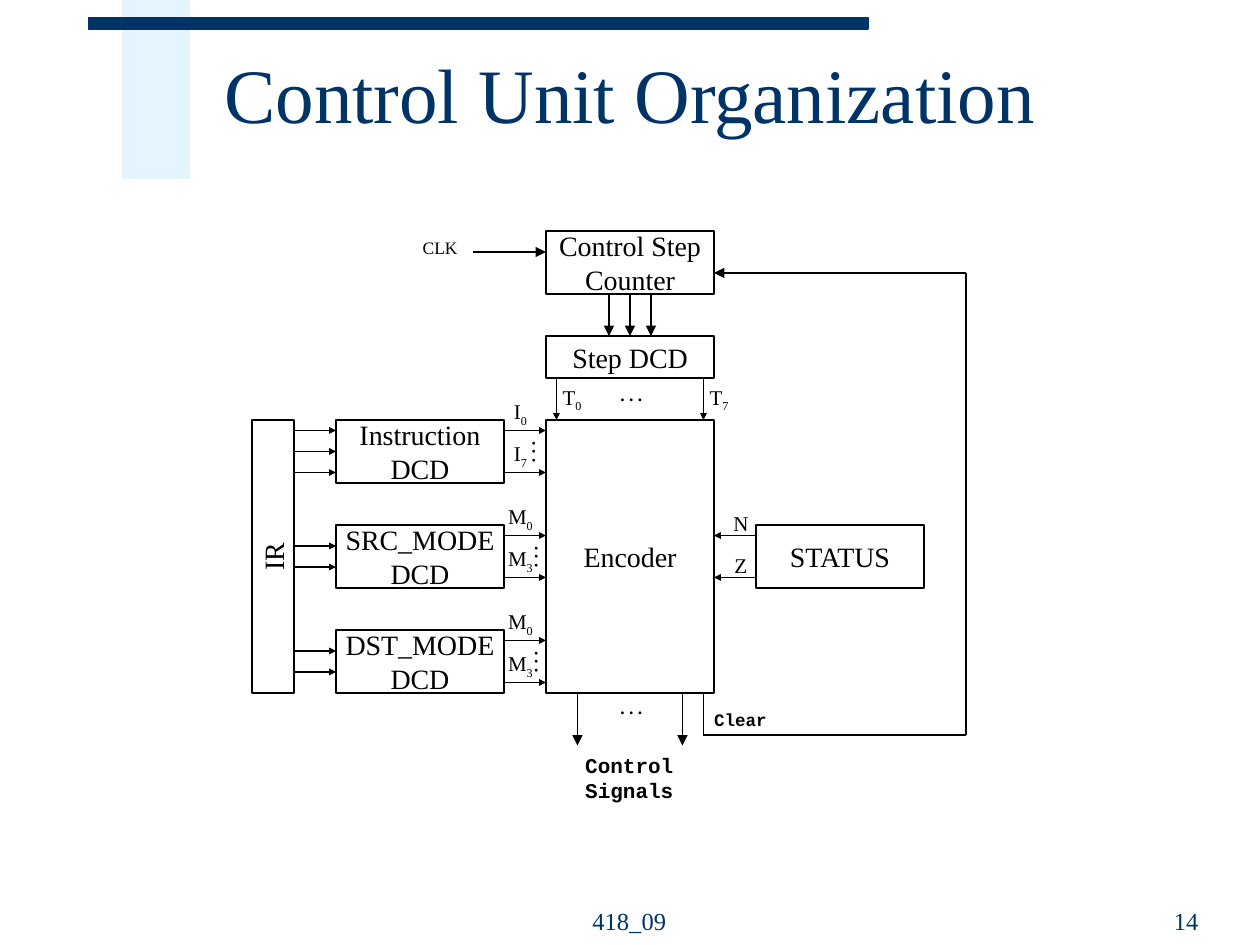
from lxml import etree
from pptx import Presentation
from pptx.dml.color import RGBColor
from pptx.enum.shapes import MSO_CONNECTOR, MSO_SHAPE
from pptx.enum.text import MSO_ANCHOR, PP_ALIGN
from pptx.oxml.ns import qn
from pptx.util import Inches, Pt

LEFT, CENTER, RIGHT = PP_ALIGN.LEFT, PP_ALIGN.CENTER, PP_ALIGN.RIGHT
TOP, MIDDLE, BOTTOM = MSO_ANCHOR.TOP, MSO_ANCHOR.MIDDLE, MSO_ANCHOR.BOTTOM
RECTANGLE, STRAIGHT = MSO_SHAPE.RECTANGLE, MSO_CONNECTOR.STRAIGHT

COLORS = {"navy": "003366", "band": "CCECFF", "ink": "000000", "paper": "FFFFFF"}
SERIF, MONO = "Times New Roman", "Courier New"
GRID = 1 / 12  # the diagram sits on a grid of twelve steps to the inch

# Diagram blocks: text, left, top, width, height, rotation (grid steps, degrees)
BLOCKS = [
    ("Control Step\nCounter", 52, 22, 16, 6, 0),
    ("Step DCD", 52, 32, 16, 4, 0),
    ("Encoder", 52, 40, 16, 26, 0),
    ("STATUS", 72, 50, 16, 6, 0),
    ("Instruction\nDCD", 32, 40, 16, 6, 0),
    ("SRC_MODE\nDCD", 32, 50, 16, 6, 0),
    ("DST_MODE\nDCD", 32, 60, 16, 6, 0),
    ("IR", 13, 51, 26, 4, 270),
]
# Decoders: top, offsets of the input arrows, name and last index of the outputs
DECODERS = [
    (40, (1, 3, 5), "I", "7"),
    (50, (2, 4), "M", "3"),
    (60, (2, 4), "M", "3"),
]
OUTPUT_OFFSETS = (1, 5)
STEP_OUTPUTS = [(53, "0"), (67, "7")]
FLAGS = [(51, "N"), (55, "Z")]
CLEAR_ROUTE = [(67, 66), (67, 70), (92, 70), (92, 26), (68, 26)]


def color(name):
    return RGBColor.from_string(COLORS[name])


def write(shape, text, size=12, font=SERIF, ink="ink", bold=False, align=CENTER,
          anchor=TOP, inset=(0.1, 0.05), subscript="", spacing=None):
    """Fill a shape with one paragraph per line; the subscript follows the last."""
    frame = shape.text_frame
    frame.word_wrap = True
    frame.vertical_anchor = anchor
    frame.margin_left = frame.margin_right = Inches(inset[0])
    frame.margin_top = frame.margin_bottom = Inches(inset[1])
    for index, line in enumerate(text.split("\n")):
        para = frame.add_paragraph() if index else frame.paragraphs[0]
        para.alignment = align
        if spacing:
            para.line_spacing = spacing
        para.add_run().text = line
    if subscript:
        span = para.add_run()
        span.text = subscript
        span._r.get_or_add_rPr().set("baseline", "-25000")
    for para in frame.paragraphs:
        for span in para.runs:
            span.font.size = Pt(size)
            span.font.name = font
            span.font.bold = bold
            span.font.color.rgb = color(ink)


def add_label(page, text, left, top, width, height, rotation=0, **style):
    box = page.shapes.add_textbox(*map(Inches, (left, top, width, height)))
    box.rotation = rotation
    write(box, text, **style)


def add_dots(page, x, y, rotation=0):
    """Place an ellipsis centred on a point given in inches."""
    add_label(page, ". . .", x - 0.24, y - 0.13, 0.48, 0.27, rotation, size=10, bold=True)


def add_rectangle(page, left, top, width, height, fill, line=None):
    shape = page.shapes.add_shape(RECTANGLE, *map(Inches, (left, top, width, height)))
    shape.shadow.inherit = False
    shape.fill.solid()
    shape.fill.fore_color.rgb = color(fill)
    if line:
        shape.line.color.rgb = color(line)
        shape.line.width = Pt(0.75)
    else:
        shape.line.fill.background()
    return shape


def add_line(page, start, end, head="med"):
    """Join two grid points; head is the arrowhead size, or None for a plain line."""
    ends = [Inches(step * GRID) for step in (*start, *end)]
    line = page.shapes.add_connector(STRAIGHT, *ends)
    line.line.color.rgb = color("ink")
    line.line.width = Pt(0.75)
    if head:
        etree.SubElement(line.line._get_or_add_ln(), qn("a:tailEnd"),
                         type="triangle", w=head, len=head)
    etree.SubElement(line._element.spPr, qn("a:effectLst"))
    return line


def add_frame(page):
    band = add_rectangle(page, 0.97, 0, 0.54, 1.42, "band")
    tint = band.fill._xPr.find(qn("a:solidFill"))[0]
    etree.SubElement(tint, qn("a:alpha"), val="50000")
    add_rectangle(page, 0.7, 0.14, 6.19, 0.09, "navy", "navy")
    title = page.shapes.title
    title.left, title.top, title.width, title.height = map(Inches, (1.68, 0.17, 8.07, 1.25))
    write(title, "Control Unit Organization", size=44, ink="navy", align=LEFT,
          anchor=MIDDLE, spacing=0.85)
    footer = {"size": 14, "ink": "navy", "anchor": BOTTOM}
    add_label(page, "418_09", 4.08, 6.97, 1.83, 0.5, **footer)
    add_label(page, "14", 7.21, 6.97, 2.4, 0.5, align=RIGHT, **footer)


def add_blocks(page):
    blocks = {}
    for text, left, top, width, height, rotation in BLOCKS:
        place = [step * GRID for step in (left, top, width, height)]
        block = add_rectangle(page, *place, "paper", "ink")
        block.rotation = rotation
        write(block, text, size=16, anchor=MIDDLE, inset=(0, 0))
        blocks[text] = block
    return blocks


def add_step_path(page, blocks):
    add_label(page, "CLK", 3.08, 1.83, 0.65, 0.27, size=10, align=RIGHT)
    add_line(page, (45, 24), (52, 24))
    for x in (58, 62):
        add_line(page, (x, 28), (x, 32))
    middle = add_line(page, (60, 28), (60, 32))
    middle.begin_connect(blocks["Control Step\nCounter"], 2)
    middle.end_connect(blocks["Step DCD"], 0)
    for x, index in STEP_OUTPUTS:
        add_line(page, (x, 36), (x, 40), "sm")
        add_label(page, "T", x * GRID - 0.05, 3, 0.42, 0.33, align=LEFT, subscript=index)
    add_dots(page, 5.01, 3.13)


def add_decoder_paths(page):
    for top, inputs, name, last in DECODERS:
        for offset in inputs:
            add_line(page, (28, top + offset), (32, top + offset), "sm")
        for offset, index in zip(OUTPUT_OFFSETS, ("0", last)):
            y = top + offset
            add_line(page, (48, y), (52, y), "sm")
            add_label(page, name, 3.92, y * GRID - 0.3, 0.42, 0.33, subscript=index)
        add_dots(page, 4.28 if name == "I" else 4.3, (top + 3) * GRID, 90)


def add_encoder_paths(page):
    for y, flag in FLAGS:
        add_line(page, (72, y), (68, y), "sm")
        add_label(page, flag, 5.67, y * GRID - 0.25, 0.42, 0.3)
    for x in (55, 65):
        add_line(page, (x, 66), (x, 71))
    add_dots(page, 5.01, 5.61)
    add_label(page, "Control\nSignals", 4.33, 5.92, 1.33, 0.58, font=MONO, bold=True)
    for start, end in zip(CLEAR_ROUTE, CLEAR_ROUTE[1:]):
        add_line(page, start, end, "med" if end == CLEAR_ROUTE[-1] else None)
    add_label(page, "Clear", 5.57, 5.58, 0.68, 0.27, size=10, font=MONO, bold=True, align=LEFT)


def main():
    deck = Presentation()
    deck.slide_width, deck.slide_height = Inches(10), Inches(7.5)
    page = deck.slides.add_slide(deck.slide_layouts[5])
    add_frame(page)
    blocks = add_blocks(page)
    add_step_path(page, blocks)
    add_decoder_paths(page)
    add_encoder_paths(page)
    deck.save("out.pptx")


if __name__ == "__main__":
    main()
